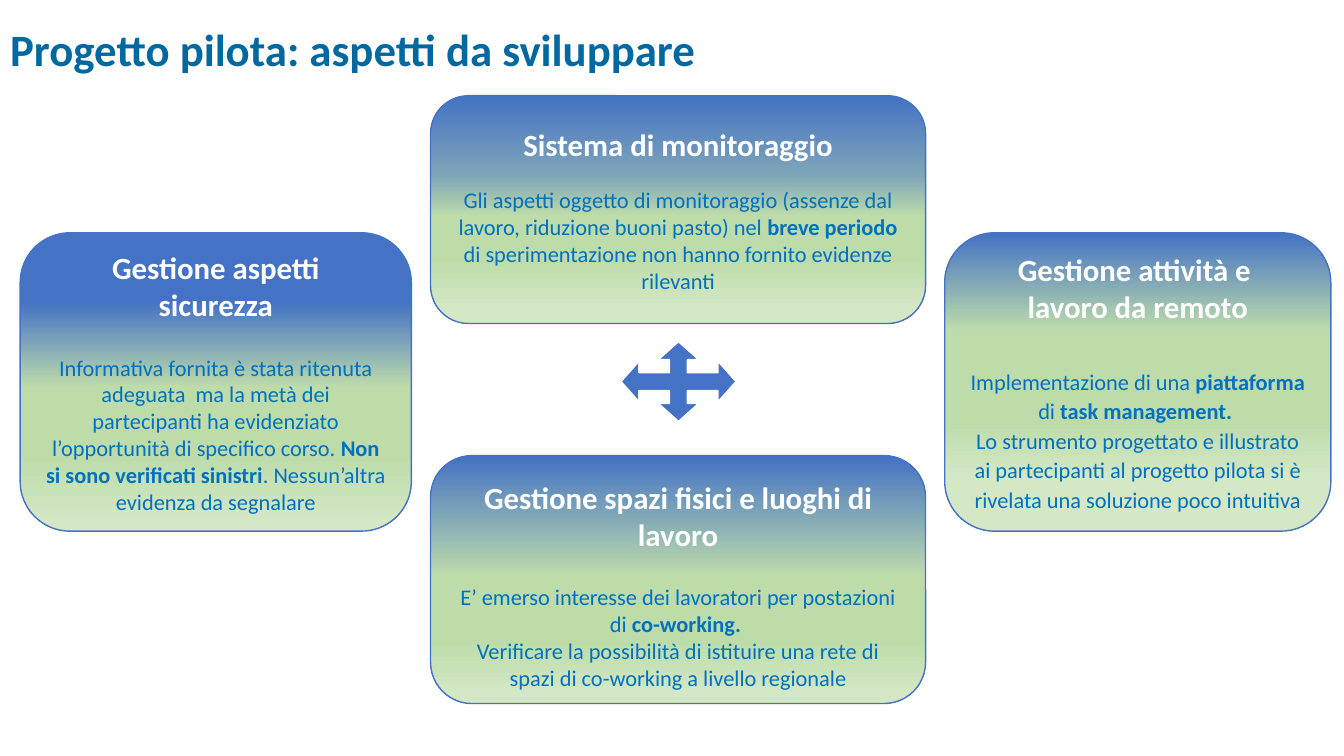
import pptx
import pptx.dml.color
import pptx.enum.shapes
import pptx.enum.text
import pptx.oxml.ns
import pptx.util
from lxml import etree

Inches = pptx.util.Inches
Pt = pptx.util.Pt
Kind = pptx.enum.shapes.MSO_SHAPE
Align = pptx.enum.text.PP_ALIGN
Anchor = pptx.enum.text.MSO_ANCHOR
qn = pptx.oxml.ns.qn


def paint(code):
    return pptx.dml.color.RGBColor.from_string(code)


def dress(item, form):
    for key, value in form.items():
        setattr(item, key, value)


class Deck:
    blue = "4472C4"
    green = "BEDCAA"
    pale = "D4E8C6"
    white = "FFFFFF"
    title_ink = "0068A0"
    body_ink = "0070C0"
    face = "Calibri"
    title_size = 32
    head_size = 22
    body_size = 16

    def __init__(self):
        self.file = pptx.Presentation()
        dress(self.file, {"slide_width": Inches(13.33), "slide_height": Inches(7.5)})
        self.slide = self.file.slides.add_slide(self.file.slide_layouts[5])

    def words(self, para, text, size, ink, bold=False):
        for part in text.split("*"):
            if part:
                run = para.add_run()
                run.text = part
                dress(run.font, {"name": self.face, "size": Pt(size), "bold": bold})
                run.font.color.rgb = paint(ink)
            bold = not bold

    def title(self, text, left, top, width, height):
        head = self.slide.shapes.title
        dress(head, {"left": Inches(left), "top": Inches(top),
                     "width": Inches(width), "height": Inches(height)})
        dress(head.text_frame, {"vertical_anchor": Anchor.MIDDLE, "word_wrap": True})
        para = head.text_frame.paragraphs[0]
        dress(para, {"alignment": Align.LEFT, "line_spacing": 0.9})
        self.words(para, text, self.title_size, self.title_ink, True)

    def shape(self, kind, place, edge):
        item = self.slide.shapes.add_shape(kind, *map(Inches, place))
        item.shadow.inherit = False
        item.line.color.rgb = paint(edge)
        item.line.width = Pt(1)
        return item

    def fade(self, item, stops):
        item.fill.gradient()
        item.fill.gradient_angle = 270
        band = item.element.spPr.find(".//" + qn("a:gsLst"))
        for old in list(band):
            band.remove(old)
        for spot, ink in stops:
            stop = etree.SubElement(band, qn("a:gs"), pos=str(spot * 1000))
            etree.SubElement(stop, qn("a:srgbClr"), val=ink)

    def card(self, place, stops, heads, notes, gap, pitch=1.0, inset=(0.05, 0.05)):
        item = self.shape(Kind.ROUNDED_RECTANGLE, place, self.blue)
        self.fade(item, stops)
        frame = item.text_frame
        dress(frame, {"word_wrap": True, "vertical_anchor": Anchor.MIDDLE,
                      "margin_top": Inches(inset[0]), "margin_bottom": Inches(inset[1])})
        rows = [(text, self.head_size, self.white, True, 1.0) for text in heads]
        rows += [(text, self.body_size, self.body_ink, False, pitch) for text in notes]
        for spot, (text, size, ink, bold, lead) in enumerate(rows):
            para = frame.add_paragraph() if spot else frame.paragraphs[0]
            dress(para, {"alignment": Align.CENTER, "line_spacing": lead,
                         "space_before": Pt(gap if spot == len(heads) else 0)})
            self.words(para, text, size, ink, bold)

    def cross(self, place, bends):
        item = self.shape(Kind.QUAD_ARROW, place, self.white)
        item.fill.solid()
        item.fill.fore_color.rgb = paint(self.blue)
        for spot, bend in enumerate(bends):
            item.adjustments[spot] = bend

    def ramp(self, *spots):
        return list(zip(spots, (self.blue, self.green, self.green, self.pale)))


def main():
    deck = Deck()
    deck.title("Progetto pilota: aspetti da sviluppare", 0, -0.01, 7.66, 1.06)
    deck.card(
        (0.2, 2.31, 3.88, 2.96), deck.ramp(23, 52, 75, 98),
        ["Gestione aspetti", "sicurezza"],
        ["Informativa fornita è stata ritenuta adeguata  ma la metà dei partecipanti "
         "ha evidenziato l’opportunità di specifico corso. *Non si sono verificati "
         "sinistri*. Nessun’altra evidenza da segnalare"],
        gap=22)
    deck.card(
        (9.37, 2.31, 3.83, 2.96), deck.ramp(0, 33, 63, 83),
        ["Gestione attività e ", "lavoro da remoto"],
        ["Implementazione di una *piattaforma *di* task management. *",
         "Lo strumento progettato e illustrato ai partecipanti al progetto pilota "
         "si è rivelata una soluzione poco intuitiva"],
        gap=29, pitch=1.1)
    deck.card(
        (4.27, 4.52, 4.91, 2.46), deck.ramp(0, 49, 75, 97),
        ["Gestione spazi fisici e luoghi di lavoro"],
        ["E’ emerso interesse dei lavoratori per postazioni di *co-working. *",
         "Verificare la possibilità di istituire una rete di spazi di co-working "
         "a livello regionale"],
        gap=22, inset=(0.1, 0))
    tint = deck.ramp(0, 53, 72, 94)
    tint.insert(1, (35, "7EA5B8"))
    deck.card(
        (4.27, 0.95, 4.91, 2.26), tint,
        ["Sistema di monitoraggio"],
        ["Gli aspetti oggetto di monitoraggio (assenze dal lavoro, riduzione buoni "
         "pasto) nel *breve periodo *di sperimentazione non hanno fornito evidenze "
         "rilevanti"],
        gap=17)
    deck.cross((6.16, 3.39, 1.14, 0.79), (0.225, 0.253, 0.225))
    deck.file.save("out.pptx")


if __name__ == "__main__":
    main()
